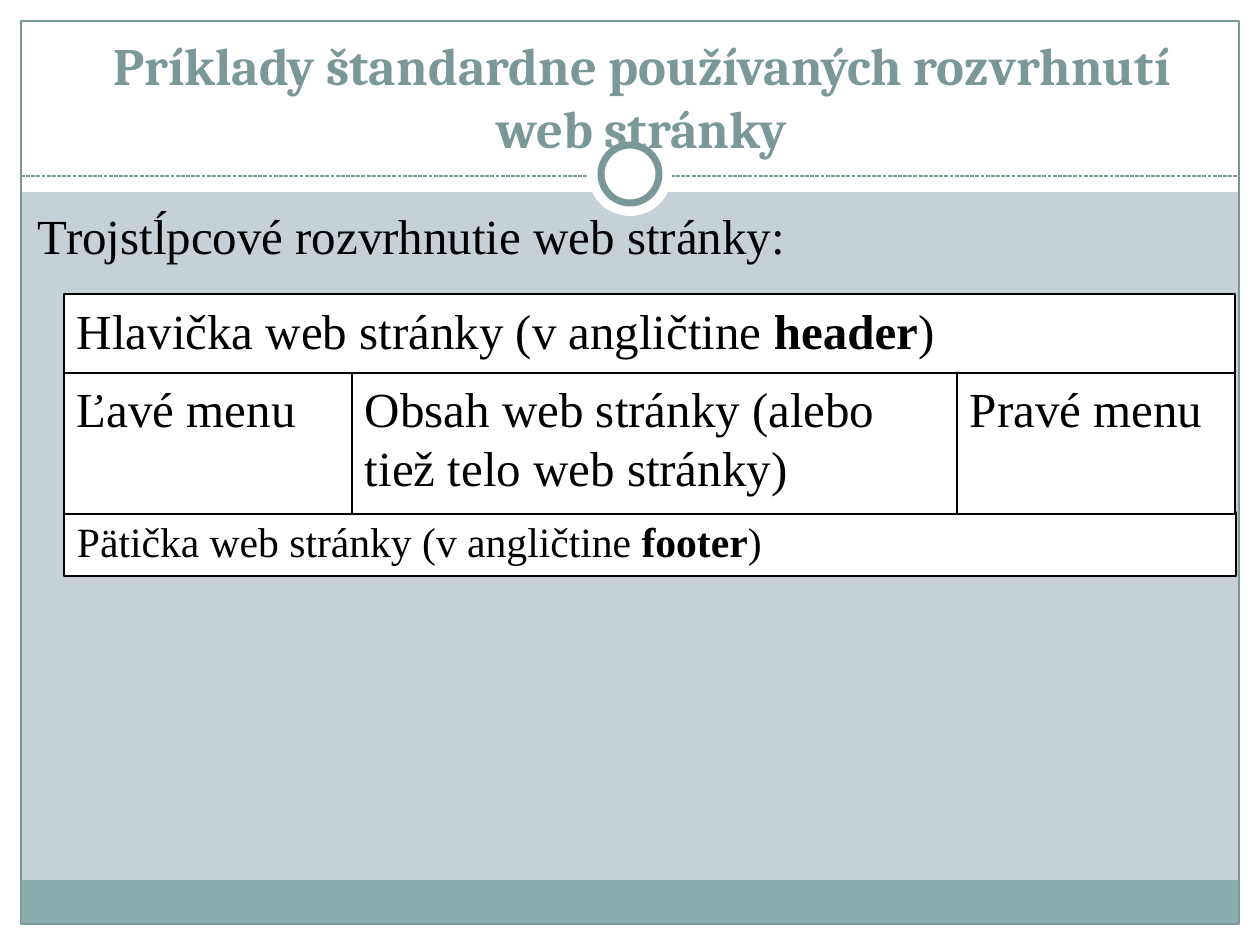
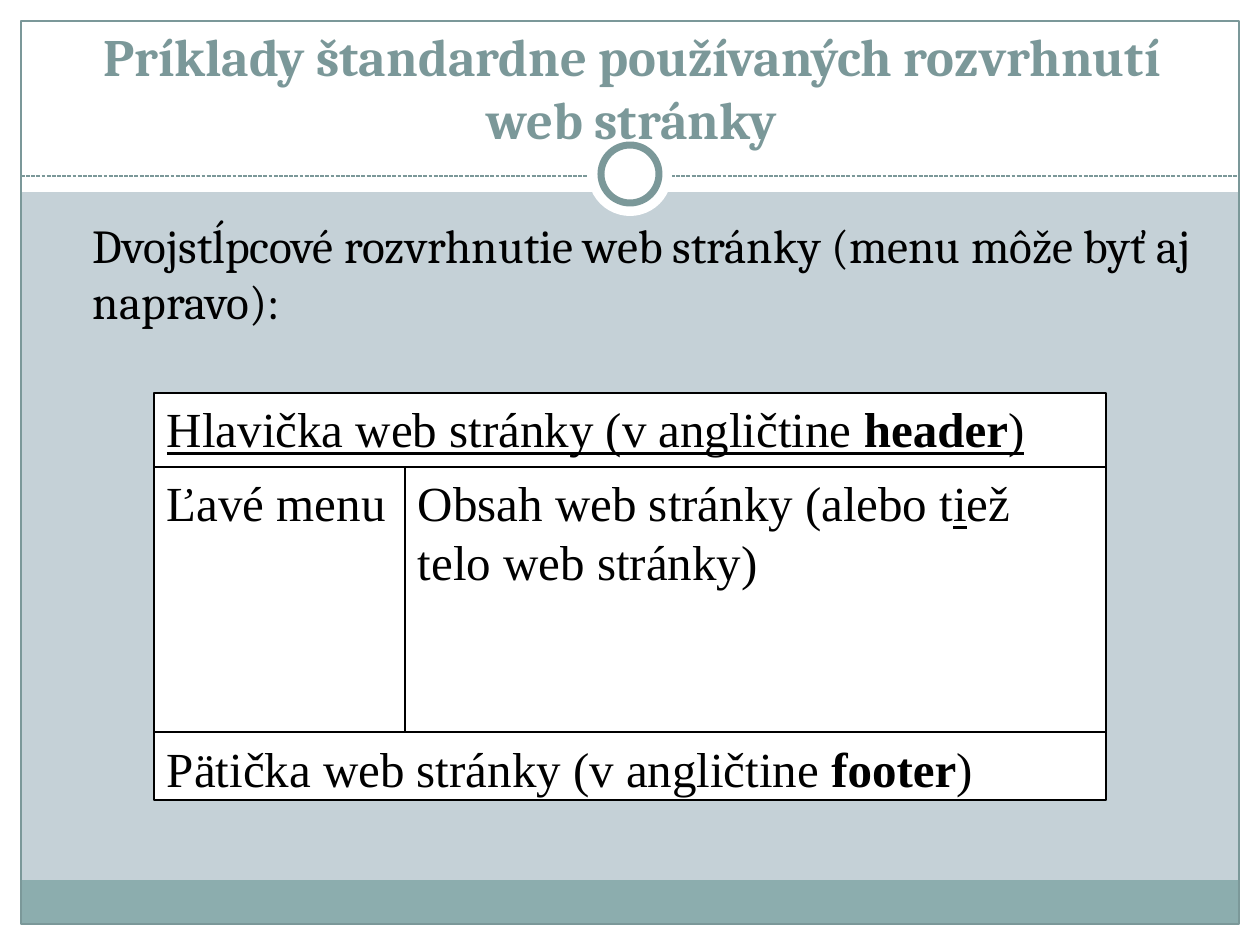
import pptx
import pptx.util
from lxml import etree
from pptx.dml.color import RGBColor
from pptx.enum.dml import MSO_LINE
from pptx.enum.shapes import MSO_CONNECTOR, MSO_SHAPE
from pptx.enum.text import MSO_ANCHOR, PP_ALIGN
from pptx.oxml.ns import qn

PX = 914400 / 126
COLORS = {
    "page": "C5D1D7",
    "paper": "FFFFFF",
    "band": "8CADAE",
    "accent": "7B9899",
    "ink": "000000",
}
TITLE_FONT = "Cambria"
BODY_FONT = "Times New Roman"
TITLE = "Príklady štandardne používaných rozvrhnutí web stránky"
WIDTH, HEIGHT, MARGIN = 1260, 945, 21


def emu(*lengths):
    return [round(n * PX) for n in lengths]


def rgb(name):
    return RGBColor.from_string(COLORS[name])


def add_block(s, box, fill=None, line=None, width=0.75, kind=MSO_SHAPE.RECTANGLE):
    sp = s.shapes.add_shape(kind, *emu(*box))
    sp.shadow.inherit = False
    if fill:
        sp.fill.solid()
        sp.fill.fore_color.rgb = rgb(fill)
    else:
        sp.fill.background()
    if line:
        sp.line.color.rgb = rgb(line)
        sp.line.width = pptx.util.Pt(width)
    else:
        sp.line.fill.background()
    return sp


def set_text(sp, runs, size, font=BODY_FONT, color="ink", bold=False, underline=False,
             align=PP_ALIGN.LEFT, anchor=MSO_ANCHOR.TOP, inset=6):
    """Write one paragraph; runs are (text, style) with style "", "b" or "u"."""
    tf = sp.text_frame
    tf.word_wrap = True
    tf.vertical_anchor = anchor
    tf.margin_left, tf.margin_right = emu(13, 13)
    tf.margin_top, tf.margin_bottom = emu(inset, inset)
    p = tf.paragraphs[0]
    p.alignment = align
    for text, style in runs:
        r = p.add_run()
        r.text = text
        r.font.name = font
        r.font.size = pptx.util.Pt(size)
        r.font.color.rgb = rgb(color)
        r.font.bold = bold or style == "b"
        r.font.underline = underline or style == "u"
    return p


def add_text(s, box, text, size, **style):
    return set_text(s.shapes.add_textbox(*emu(*box)), [(text, "")], size, **style)


def add_cell(s, box, runs, size=28, **style):
    """Draw one bordered region of the page layout diagram."""
    return set_text(add_block(s, box, "paper", "ink"), runs, size, **style)


def add_rule(s, y):
    sp = s.shapes.add_connector(MSO_CONNECTOR.STRAIGHT, *emu(MARGIN, y, WIDTH - MARGIN, y))
    sp.line.color.rgb = rgb("accent")
    sp.line.width = pptx.util.Pt(0.75)
    sp.line.dash_style = MSO_LINE.SQUARE_DOT
    etree.SubElement(sp._element.spPr, qn("a:effectLst"))


def add_frame(s):
    inner = WIDTH - 2 * MARGIN
    for box in ((0, HEIGHT - MARGIN, WIDTH, MARGIN), (0, 0, WIDTH, 192),
                (0, 0, MARGIN, HEIGHT), (WIDTH - MARGIN, 0, MARGIN, HEIGHT)):
        add_block(s, box, "paper")
    add_block(s, (MARGIN, 880, inner, 44), "band")
    add_block(s, (MARGIN, MARGIN, inner, HEIGHT - 2 * MARGIN), line="accent")
    add_rule(s, 176)
    add_block(s, (588, 132, 84, 84), "paper", kind=MSO_SHAPE.OVAL)
    add_block(s, (601, 145, 58, 58), "paper", "accent", 4, MSO_SHAPE.OVAL)


def add_slide(prs, title_box):
    s = prs.slides.add_slide(prs.slide_layouts[6])
    s.background.fill.solid()
    s.background.fill.fore_color.rgb = rgb("page")
    add_frame(s)
    add_text(s, title_box, TITLE, 30, font=TITLE_FONT, color="accent", bold=True,
             align=PP_ALIGN.CENTER, anchor=MSO_ANCHOR.BOTTOM, inset=0)
    return s


def labelled(text, term):
    return [(f"{text} web stránky (v angličtine ", ""), (term, "b"), (")", "")]


def add_three_columns(prs):
    s = add_slide(prs, (54, 35, 1176, 124))
    header, footer = labelled("Hlavička", "header"), labelled("Pätička", "footer")
    p = add_cell(s, (64, 512, 1172, 64), footer, 23.8, inset=10)
    p.line_spacing = 0.9
    add_cell(s, (64, 294, 1171, 79), header)
    x = 64
    for width, text in ((288, "Ľavé menu"),
                        (605, "Obsah web stránky (alebo tiež telo web stránky)"),
                        (278, "Pravé menu")):
        add_cell(s, (x, 373, width, 141), [(text, "")])
        x += width
    add_text(s, (25, 199, 1211, 72), "Trojstĺpcové rozvrhnutie web stránky:", 28,
             align=PP_ALIGN.JUSTIFY, anchor=MSO_ANCHOR.MIDDLE)


def add_two_columns(prs):
    s = add_slide(prs, (44, 45, 1176, 105))
    add_text(s, (80, 210, 1134, 630),
             "Dvojstĺpcové rozvrhnutie web stránky (menu môže byť aj napravo):",
             27, font=TITLE_FONT)
    add_cell(s, (154, 393, 952, 74), labelled("Hlavička", "header"), underline=True)
    add_cell(s, (154, 732, 952, 68), labelled("Pätička", "footer"))
    add_cell(s, (154, 467, 251, 265), [("Ľavé menu", "")])
    add_cell(s, (405, 467, 701, 265),
             [("Obsah web stránky (alebo t", ""), ("i", "u"), ("ež telo web stránky)", "")])


def main():
    prs = pptx.Presentation()
    prs.slide_width, prs.slide_height = emu(WIDTH, HEIGHT)
    add_three_columns(prs)
    add_two_columns(prs)
    prs.save("out.pptx")


if __name__ == "__main__":
    main()
